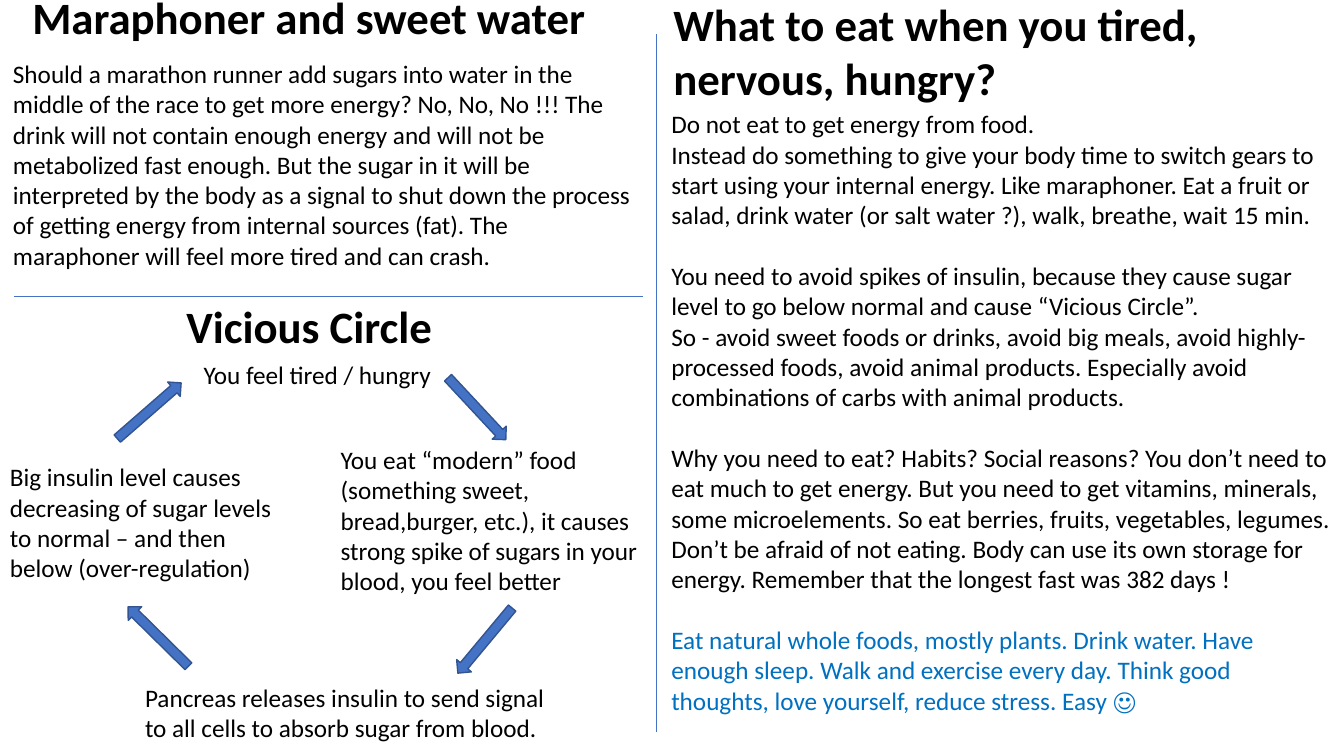
from typing import NamedTuple

import pptx
import pptx.dml.color
import pptx.enum.shapes
import pptx.enum.text
import pptx.oxml.ns
import pptx.util
from lxml import etree

Inches = pptx.util.Inches
Pt = pptx.util.Pt

COLORS = {
    "text": "000000",
    "advice": "0070C0",
    "accent": "4472C4",
    "arrow_edge": "325491",
}
FONT = "Calibri"
HEADING_SIZE = 32
BODY_SIZE = 18
SECTION_GAP = 22
ARROW_WIDTH, ARROW_HEIGHT = 0.84, 0.19


class Box(NamedTuple):
    left: float
    top: float
    width: float
    height: float


class Paragraph(NamedTuple):
    text: str
    gap_before: float = 0
    color: str = "text"


class TextBlock(NamedTuple):
    box: Box
    paragraphs: list[Paragraph]
    size: float = BODY_SIZE
    bold: bool = False


class CycleArrow(NamedTuple):
    left: float
    top: float
    rotation: float


class Divider(NamedTuple):
    start: tuple[float, float]
    end: tuple[float, float]


def heading(box: Box, text: str) -> TextBlock:
    return TextBlock(box, [Paragraph(text)], HEADING_SIZE, True)


def body(box: Box, text: str) -> TextBlock:
    return TextBlock(box, [Paragraph(text)])


PAGE_TITLE = heading(Box(0.22, -0.15, 5.95, 0.64), "Maraphoner and sweet water")

TEXT_BLOCKS = [
    body(Box(0.03, 0.53, 6.41, 2.22),
         "Should a marathon runner add sugars into water in the middle of the race to get "
         "more energy? No, No, No !!! The drink will not contain enough energy and will not "
         "be metabolized fast enough. But the sugar in it will be interpreted by the body as "
         "a signal to shut down the process of getting energy from internal sources (fat). "
         "The maraphoner will feel more tired and can crash."),
    heading(Box(1.75, 2.91, 2.77, 0.64), "Vicious Circle"),
    body(Box(1.92, 3.52, 2.61, 0.4), "You feel tired / hungry"),
    body(Box(3.28, 4.36, 3.3, 1.62),
         "You eat “modern” food (something sweet, bread,burger, etc.), it causes strong "
         "spike of sugars in your blood, you feel better"),
    body(Box(1.34, 6.72, 4.34, 0.71),
         "Pancreas releases insulin to send signal to all cells to absorb sugar from blood."),
    body(Box(0, 4.53, 2.88, 1.31),
         "Big insulin level causes decreasing of sugar levels to normal – and then below "
         "(over-regulation)"),
    heading(Box(6.58, -0.08, 6.74, 1.18), "What to eat when you tired, nervous, hungry?"),
    TextBlock(Box(6.56, 1.03, 6.75, 6.16), [
        Paragraph("Do not eat to get energy from food."),
        Paragraph(
            "Instead do something to give your body time to switch gears to start using your "
            "internal energy. Like maraphoner. Eat a fruit or salad, drink water (or salt "
            "water ?), walk, breathe, wait 15 min."),
        Paragraph(
            "You need to avoid spikes of insulin, because they cause sugar level to go below "
            "normal and cause “Vicious Circle”.", SECTION_GAP),
        Paragraph(
            "So - avoid sweet foods or drinks, avoid big meals, avoid highly-processed foods, "
            "avoid animal products. Especially avoid combinations of carbs with animal "
            "products."),
        Paragraph(
            "Why you need to eat? Habits? Social reasons? You don’t need to eat much to get "
            "energy. But you need to get vitamins, minerals, some microelements. So eat "
            "berries, fruits, vegetables, legumes. Don’t be afraid of not eating. Body can "
            "use its own storage for energy. Remember that the longest fast was 382 days !",
            SECTION_GAP),
        Paragraph(
            "Eat natural whole foods, mostly plants. Drink water. Have enough sleep. Walk and "
            "exercise every day. Think good thoughts, love yourself, reduce stress. Easy ☺",
            SECTION_GAP, "advice"),
    ]),
]

CYCLE_ARROWS = [
    CycleArrow(4.31, 3.96, 47),
    CycleArrow(4.39, 6.26, 129.8),
    CycleArrow(1.15, 6.22, 224.6),
    CycleArrow(1.06, 3.98, 318.9),
]

DIVIDERS = [
    Divider((6.51, 0.34), (6.51, 7.26)),
    Divider((0.14, 2.94), (6.38, 2.94)),
]


def rgb(name: str) -> pptx.dml.color.RGBColor:
    return pptx.dml.color.RGBColor.from_string(COLORS[name])


def fill_text(holder, block: TextBlock) -> None:
    """Place a text box or placeholder and write the block's paragraphs in it."""
    holder.left, holder.top, holder.width, holder.height = map(Inches, block.box)
    frame = holder.text_frame
    frame.word_wrap = True
    frame.auto_size = pptx.enum.text.MSO_AUTO_SIZE.NONE
    frame.vertical_anchor = pptx.enum.text.MSO_ANCHOR.TOP
    frame.text = "\n".join(part.text for part in block.paragraphs)
    for part, paragraph in zip(block.paragraphs, frame.paragraphs):
        paragraph.alignment = pptx.enum.text.PP_ALIGN.LEFT
        paragraph.space_before = Pt(part.gap_before)
        for run in paragraph.runs:
            run.font.name = FONT
            run.font.size = Pt(block.size)
            run.font.bold = block.bold
            run.font.color.rgb = rgb(part.color)


def add_cycle_arrow(slide: pptx.slide.Slide, arrow: CycleArrow) -> None:
    pointer = slide.shapes.add_shape(
        pptx.enum.shapes.MSO_SHAPE.RIGHT_ARROW, Inches(arrow.left), Inches(arrow.top),
        Inches(ARROW_WIDTH), Inches(ARROW_HEIGHT))
    pointer.rotation = arrow.rotation
    pointer.shadow.inherit = False
    pointer.fill.solid()
    pointer.fill.fore_color.rgb = rgb("accent")
    pointer.line.color.rgb = rgb("arrow_edge")
    pointer.line.width = Pt(1)


def add_divider(slide: pptx.slide.Slide, divider: Divider) -> None:
    rule = slide.shapes.add_connector(
        pptx.enum.shapes.MSO_CONNECTOR.STRAIGHT,
        *map(Inches, divider.start + divider.end))
    rule.line.color.rgb = rgb("accent")
    rule.line.width = Pt(0.5)
    etree.SubElement(rule._element.spPr, pptx.oxml.ns.qn("a:effectLst"))


def main() -> None:
    deck = pptx.Presentation()
    deck.slide_width, deck.slide_height = Inches(13.33), Inches(7.5)
    slide = deck.slides.add_slide(deck.slide_layouts.get_by_name("Title Only"))
    fill_text(slide.shapes.title, PAGE_TITLE)
    for block in TEXT_BLOCKS:
        fill_text(slide.shapes.add_textbox(*map(Inches, block.box)), block)
    for arrow in CYCLE_ARROWS:
        add_cycle_arrow(slide, arrow)
    for divider in DIVIDERS:
        add_divider(slide, divider)
    deck.save("out.pptx")


if __name__ == "__main__":
    main()
